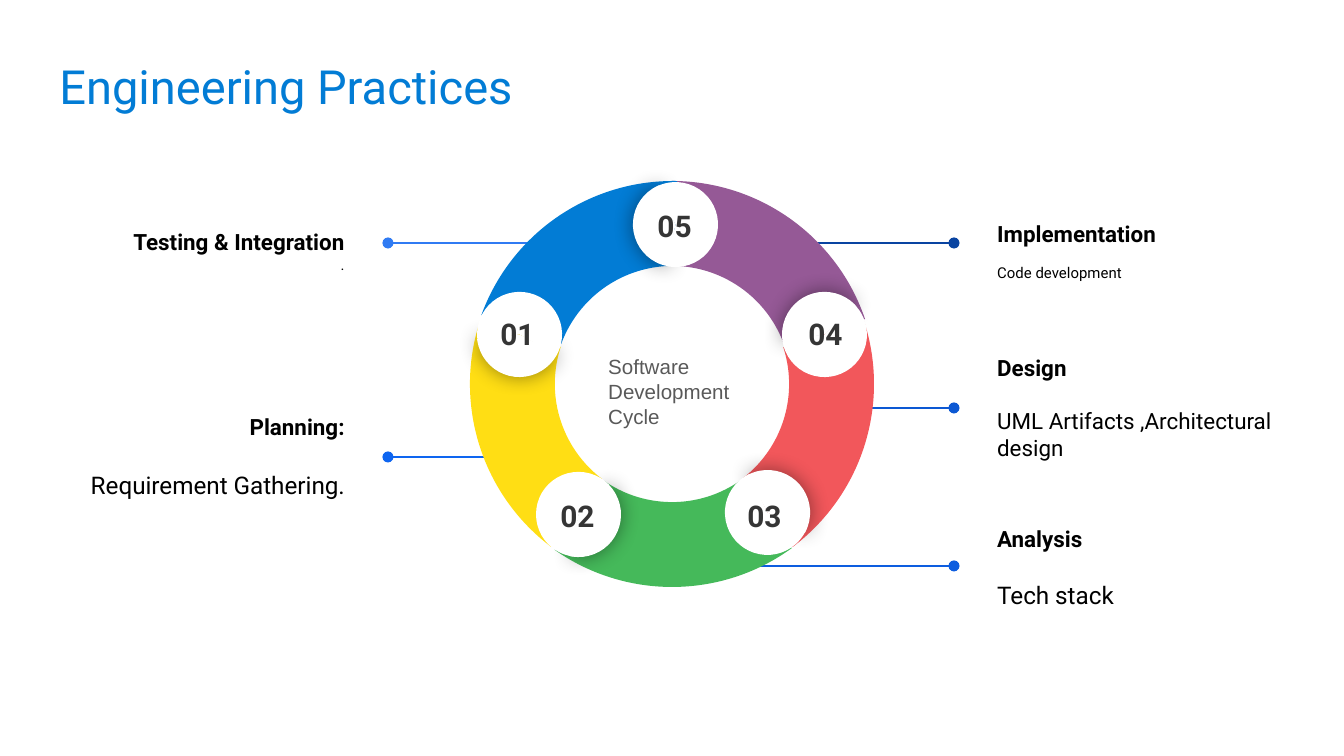
from lxml import etree
from pptx import Presentation
from pptx.dml.color import RGBColor
from pptx.enum import shapes, text
from pptx.oxml.ns import qn
from pptx.util import Emu, Pt

PX = 914400 / 134.4
RING, DISC = 408, 85
ARC_ADJ = (126.025, 168.677, 0.208)
SHADED_ADJ = (61.904, 149.962)
PLAIN_ADJ = (40.283, 171.837)
LEFT, RIGHT = text.PP_ALIGN.LEFT, text.PP_ALIGN.RIGHT

TITLE = "Engineering Practices"
CENTRE = "Software Development Cycle"

# heading, detail, detail size, gap before detail, left, top, alignment
LABELS = [
    ("Testing & Integration", ".", 8, 0, 46, 183, RIGHT),
    ("Planning:", "Requirement Gathering.", 13, 16, 46, 388, RIGHT),
    ("Analysis", "Tech stack", 13, 15, 984, 499, LEFT),
    ("Implementation", "Code development", 8, 9, 984, 183, LEFT),
    ("Design", "UML Artifacts ,Architectural design", 12, 14, 984, 340, LEFT),
]
# start x, dot x, y, colour
LEADERS = [
    (568, 388, 243, "307BF3"),
    (525, 388, 457, "0E65F0"),
    (684, 954, 566, "0D5DDF"),
    (766, 954, 243, "0944A1"),
    (825, 954, 408, "0C58D3"),
]
# Back to front, because each disc casts its shadow on an arc below it
RING_PARTS = [
    ("arc", 470, 180, 277, "FFDE14"),
    ("arc", 466, 180, 132, "F2575B"),
    ("arc", 468, 181, 60, "955996"),
    ("disc", 782, 292, 67.1, "FFFFFF"),
    ("arc", 468, 179, 204, "45B95A"),
    ("disc", 536, 472, 211.1, "FFFFFF"),
    ("arc", 469, 181, 350, "027CD5"),
    ("disc", 633, 182, 357.1, "FFFFFF"),
    ("disc", 725, 470, 139.1, "FFFFFF"),
    ("disc", 477, 292, 284.1, "FFFFFF"),
]
NUMBERS = [("05", 637, 194), ("01", 480, 302), ("02", 540, 484),
           ("03", 727, 484), ("04", 788, 302)]


def px(*values):
    return [Emu(round(v * PX)) for v in values]


def rgb(value):
    return RGBColor.from_string(value)


def style(p, size, color, font="Roboto", bold=False, align=LEFT):
    p.alignment = align
    for r in p.runs:
        r.font.size, r.font.name, r.font.bold = Pt(size), font, bold
        r.font.color.rgb = rgb(color)


def frame(sp, content, anchor=text.MSO_ANCHOR.TOP):
    tf = sp.text_frame
    tf.text = content
    tf.word_wrap = True
    tf.auto_size = text.MSO_AUTO_SIZE.NONE
    tf.vertical_anchor = anchor
    tf.margin_left = tf.margin_right = tf.margin_top = tf.margin_bottom = Pt(7.2)
    return tf


def add_effects(sp):
    return etree.SubElement(sp._element.spPr, qn("a:effectLst"))


def add_leader(x1, x2, y, color):
    line = slide.shapes.add_connector(
        shapes.MSO_CONNECTOR.STRAIGHT, *px(x1, y, x2, y))
    line.line.color.rgb = rgb(color)
    line.line.width = Pt(0.75)
    etree.SubElement(line.line._get_or_add_ln(), qn("a:tailEnd"), type="oval")
    add_effects(line)


def add_sector(kind, x, y, size, rotation, color, adjustments, shaded=False):
    sp = slide.shapes.add_shape(kind, *px(x, y, size, size))
    for i, value in enumerate(adjustments):
        sp.adjustments[i] = value
    sp.rotation = rotation % 360
    sp.fill.solid()
    sp.fill.fore_color.rgb = rgb(color)
    sp.line.fill.background()
    if shaded:
        shadow = etree.SubElement(add_effects(sp), qn("a:outerShdw"),
                                  blurRad=str(Pt(11.2)), dist="0", dir="0",
                                  algn="ctr", rotWithShape="0")
        black = etree.SubElement(shadow, qn("a:srgbClr"), val="000000")
        etree.SubElement(black, qn("a:alpha"), val="43000")
    else:
        sp.shadow.inherit = False


prs = Presentation()
prs.slide_width, prs.slide_height = px(1344, 756)
slide = prs.slides.add_slide(prs.slide_layouts[5])

# Title
title = slide.shapes.title
title.left, title.top, title.width, title.height = px(46, 44, 832, 62)
style(frame(title, TITLE).paragraphs[0], 25.2, "027CD5")

# Leader lines and labels
for leader in LEADERS:
    add_leader(*leader)
for heading, detail, size, gap, x, y, align in LABELS:
    box = slide.shapes.add_textbox(*px(x, y, 312, 136))
    tf = frame(box, heading, text.MSO_ANCHOR.MIDDLE)
    style(tf.paragraphs[0], 12, "000000", bold=True, align=align)
    p = tf.add_paragraph()
    p.text = detail
    p.space_before, p.space_after = Pt(gap), Pt(16)
    style(p, size, "000000", align=align)

# Ring: arcs, and discs made of a shaded and a plain half
PIE = shapes.MSO_SHAPE.PIE
for part, x, y, rotation, color in RING_PARTS:
    if part == "arc":
        add_sector(shapes.MSO_SHAPE.BLOCK_ARC, x, y, RING, rotation, color, ARC_ADJ)
    else:
        add_sector(PIE, x, y, DISC, rotation, color, SHADED_ADJ, shaded=True)
        add_sector(PIE, x, y, DISC, rotation + 179.3, color, PLAIN_ADJ)

# Step numbers and centre text
for number, x, y in NUMBERS:
    box = slide.shapes.add_textbox(*px(x, y, 75, 39))
    style(frame(box, number).paragraphs[0], 16, "353535", bold=True,
          align=text.PP_ALIGN.CENTER)
box = slide.shapes.add_textbox(*px(595, 341, 160, 114))
style(frame(box, CENTRE).paragraphs[0], 11, "595959", font="Arial")

prs.save("out.pptx")
